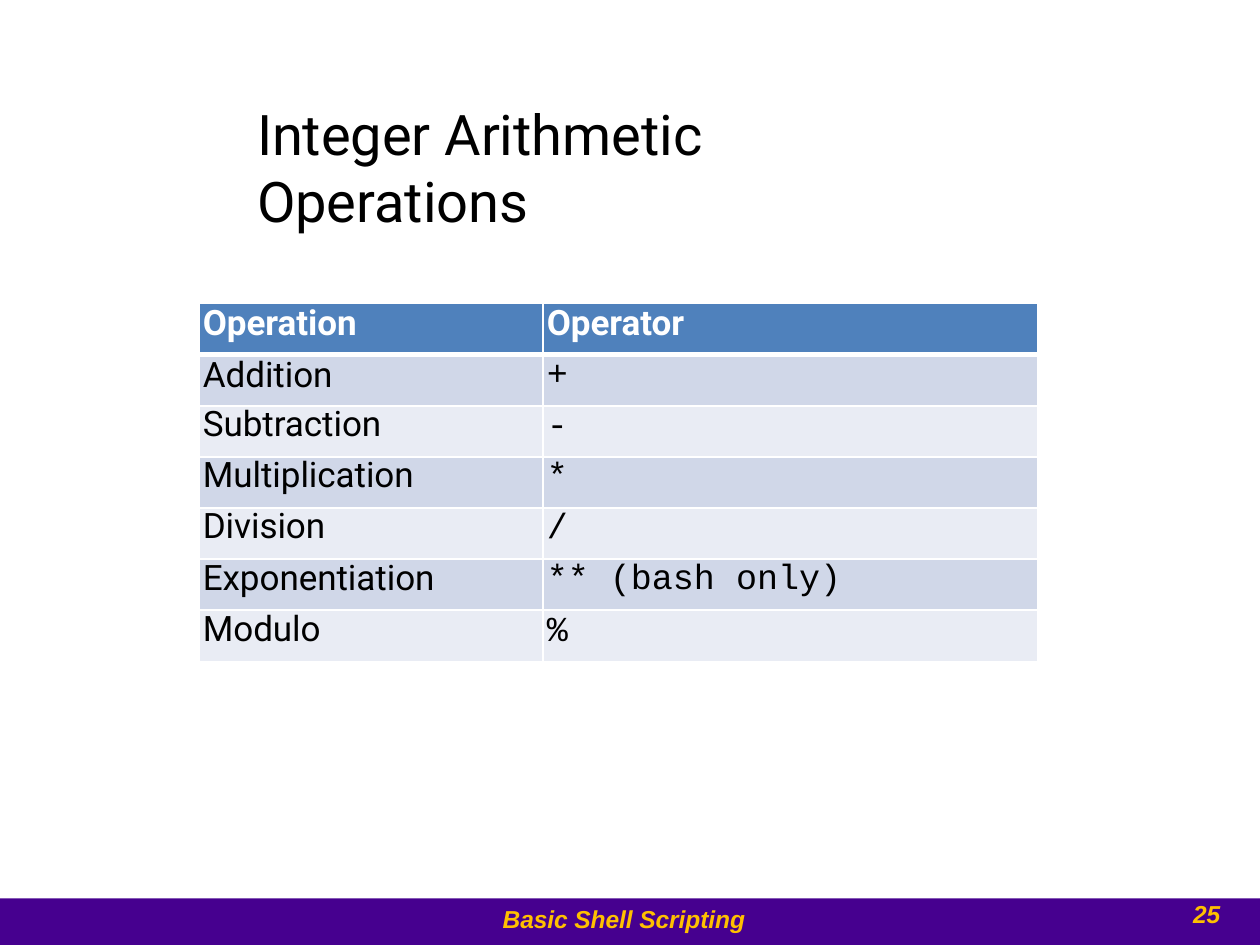
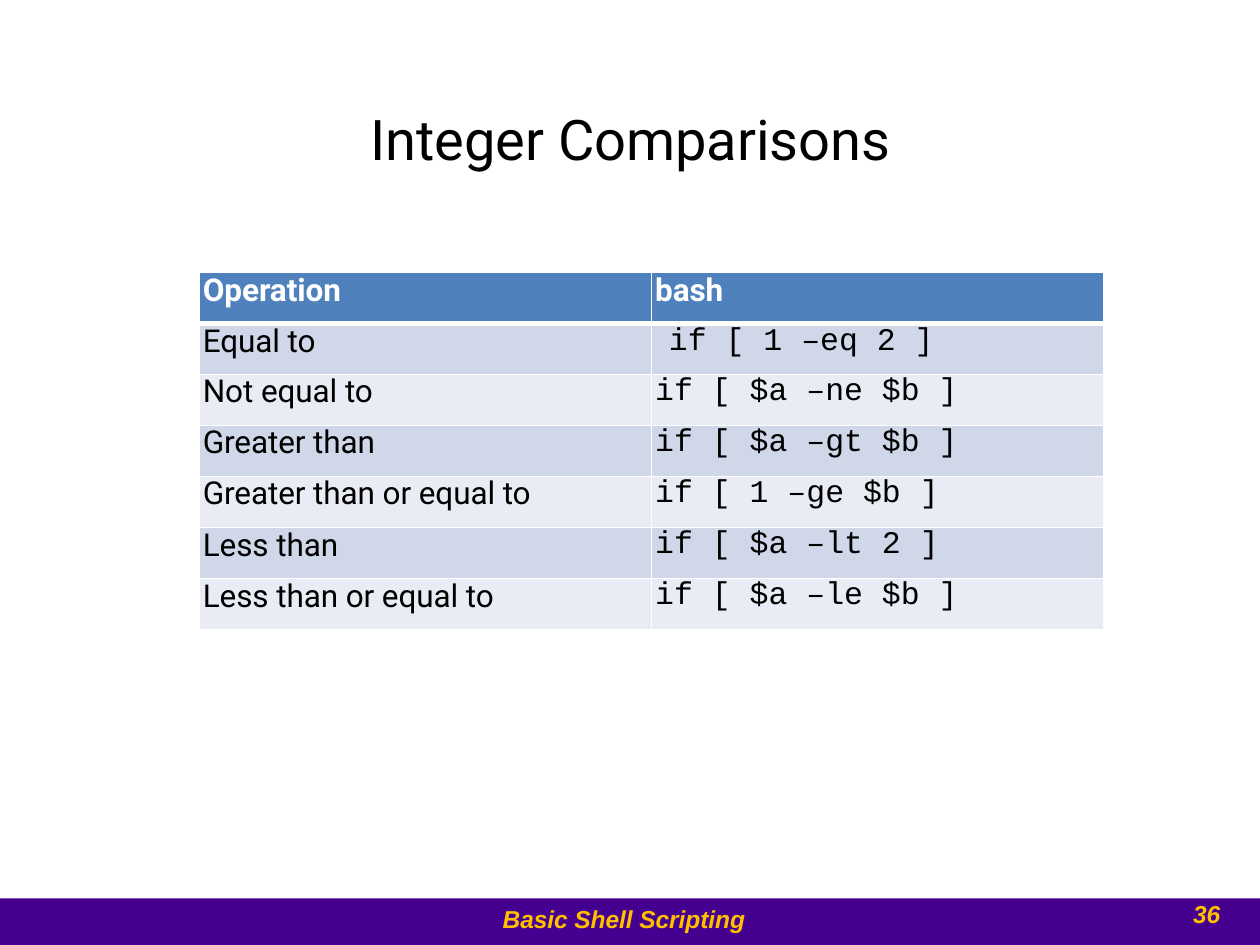
from dataclasses import dataclass

from lxml import etree
from pptx import Presentation
from pptx.dml.color import RGBColor
from pptx.enum.shapes import MSO_SHAPE as Shape
from pptx.oxml.ns import qn
from pptx.util import Inches, Pt

COLORS = {
    "band": "46008F",
    "footer": "FFC000",
    "header": "4F81BC",
    "odd_row": "D0D7E8",
    "even_row": "E9ECF4",
    "white": "FFFFFF",
    "black": "000000",
}
TABLE_LEFT, TABLE_HEIGHT = 1.58, 2.84
THIN, THICK = 1, 3


@dataclass
class CellStyle:
    """Exact line spacing (None for single), space before and left indent."""
    leading: float = None
    before: float = 0
    indent: float = 0.03
    top: float = 0


def color(name):
    return RGBColor.from_string(COLORS[name])


class Slides:
    def __init__(self):
        self.deck = Presentation()
        self.deck.slide_width, self.deck.slide_height = Inches(10), Inches(7.5)
        self.page = None

    def new_page(self, number):
        self.page = self.deck.slides.add_slide(self.deck.slide_layouts[6])
        self.band()
        self.footer(str(number), 9.43, 7.14, 0.3, 0.04)
        self.footer("Basic Shell Scripting", 3.98, 7.18, 1.96, 0.01)

    def band(self):
        band = self.page.shapes.add_shape(
            Shape.RECTANGLE, 0, Inches(7.13), Inches(10), Inches(0.37))
        band.shadow.inherit = False
        band.fill.solid()
        band.fill.fore_color.rgb = color("band")
        band.line.fill.background()

    def format(self, para, font, size, tint, bold=False, italic=False, tight=True):
        for span in para.runs:
            span.font.name = font
            span.font.size = Pt(size)
            span.font.bold = bold
            span.font.italic = italic
            span.font.color.rgb = color(tint)
            if tight:
                span.font._element.set("spc", "-5")

    def text(self, words, left, top, width, height, indent=0.01, inset=0):
        box = self.page.shapes.add_textbox(
            Inches(left), Inches(top), Inches(width), Inches(height))
        frame = box.text_frame
        frame.word_wrap = True
        frame.margin_left, frame.margin_top = Inches(indent), Inches(inset)
        frame.margin_right = frame.margin_bottom = 0
        frame.text = words
        return frame.paragraphs[0]

    def title(self, words, left, top, width):
        para = self.text(words, left, top, width, 0.56, inset=0.01)
        para.space_before = Pt(1)
        self.format(para, "Roboto", 32, "black")

    def footer(self, words, left, top, width, indent):
        para = self.text(words, left, top, width, 0.27, indent)
        para.line_spacing = Pt(16.4)
        self.format(para, "Arial", 14, "footer", bold=True, italic=True)

    def borders(self, cell, top, bottom):
        properties = cell._tc.get_or_add_tcPr()
        sides = {"lnL": THIN, "lnR": THIN, "lnT": top, "lnB": bottom}
        for position, (side, width) in enumerate(sides.items()):
            line = etree.Element(qn(f"a:{side}"), w=str(Pt(width)))
            fill = etree.SubElement(line, qn("a:solidFill"))
            etree.SubElement(fill, qn("a:srgbClr"), val=COLORS["white"])
            properties.insert(position, line)

    def cell(self, cell, words, style, fill):
        cell.fill.solid()
        cell.fill.fore_color.rgb = color(fill)
        cell.margin_left, cell.margin_top = Inches(style.indent), Inches(style.top)
        cell.margin_right = cell.margin_bottom = 0
        cell.text_frame.text = words
        para = cell.text_frame.paragraphs[0]
        para.space_before = Pt(style.before)
        if style.leading:
            para.line_spacing = Pt(style.leading)
        return para

    def table(self, rows, top, widths, size, header, first, body):
        """Draw rows; header is one cell style, first and body one per column."""
        table = self.page.shapes.add_table(
            len(rows), len(widths), Inches(TABLE_LEFT), Inches(top),
            Inches(sum(widths)), Inches(TABLE_HEIGHT)).table
        for column, width in zip(table.columns, widths):
            column.width = Inches(width)
        for r, row in enumerate(rows):
            if r == 0:
                styles, fill = [header] * len(widths), "header"
            else:
                styles = first if r == 1 else body
                fill = "odd_row" if r % 2 else "even_row"
            for c, (words, style) in enumerate(zip(row, styles)):
                cell = table.cell(r, c)
                para = self.cell(cell, words, style, fill)
                is_code = r > 0 and c == 1
                self.format(para, "Courier New" if is_code else "Roboto", size,
                            "black" if r else "white", bold=r == 0, tight=not is_code)
                self.borders(cell, THICK if r == 1 else THIN, THIN if r else THICK)


ARITHMETIC = [
    ("Operation", "Operator"),
    ("Addition", "+"),
    ("Subtraction", "-"),
    ("Multiplication", "*"),
    ("Division", "/"),
    ("Exponentiation", "** (bash only)"),
    ("Modulo", "%"),
]
COMPARISONS = [
    ("Operation", "bash"),
    ("Equal to", "if [ 1 –eq 2 ]"),
    ("Not equal to", "if [ $a –ne $b ]"),
    ("Greater than", "if [ $a –gt $b ]"),
    ("Greater than or equal to", "if [ 1 –ge $b ]"),
    ("Less than", "if [ $a –lt 2 ]"),
    ("Less than or equal to", "if [ $a –le $b ]"),
]


def main():
    slides = Slides()

    slides.new_page(25)
    slides.title("Integer Arithmetic Operations", 2.03, 0.78, 5.75)
    slides.table(ARITHMETIC, 2.41, (2.73, 3.93), 20,
                 header=CellStyle(23.1),
                 first=(CellStyle(23.6), CellStyle(before=0.6, top=0.01)),
                 body=(CellStyle(22.6), CellStyle(23.6)))

    slides.new_page(36)
    slides.title("Integer Comparisons", 2.93, 0.82, 4.15)
    slides.table(COMPARISONS, 2.16, (3.59, 3.59), 18,
                 header=CellStyle(21.1),
                 first=(CellStyle(before=0.1),
                        CellStyle(before=1.1, indent=0.14, top=0.01)),
                 body=(CellStyle(20.7), CellStyle(before=0.1)))

    slides.deck.save("out.pptx")


if __name__ == "__main__":
    main()
